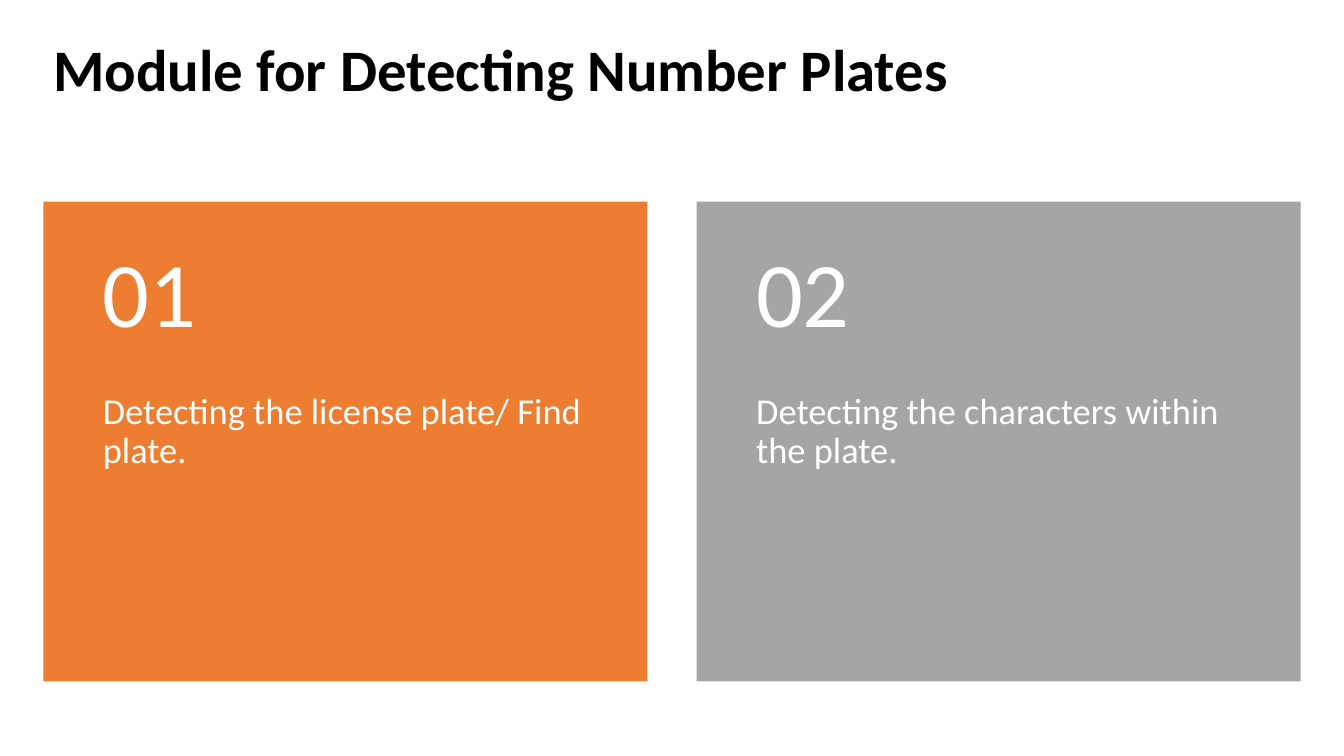
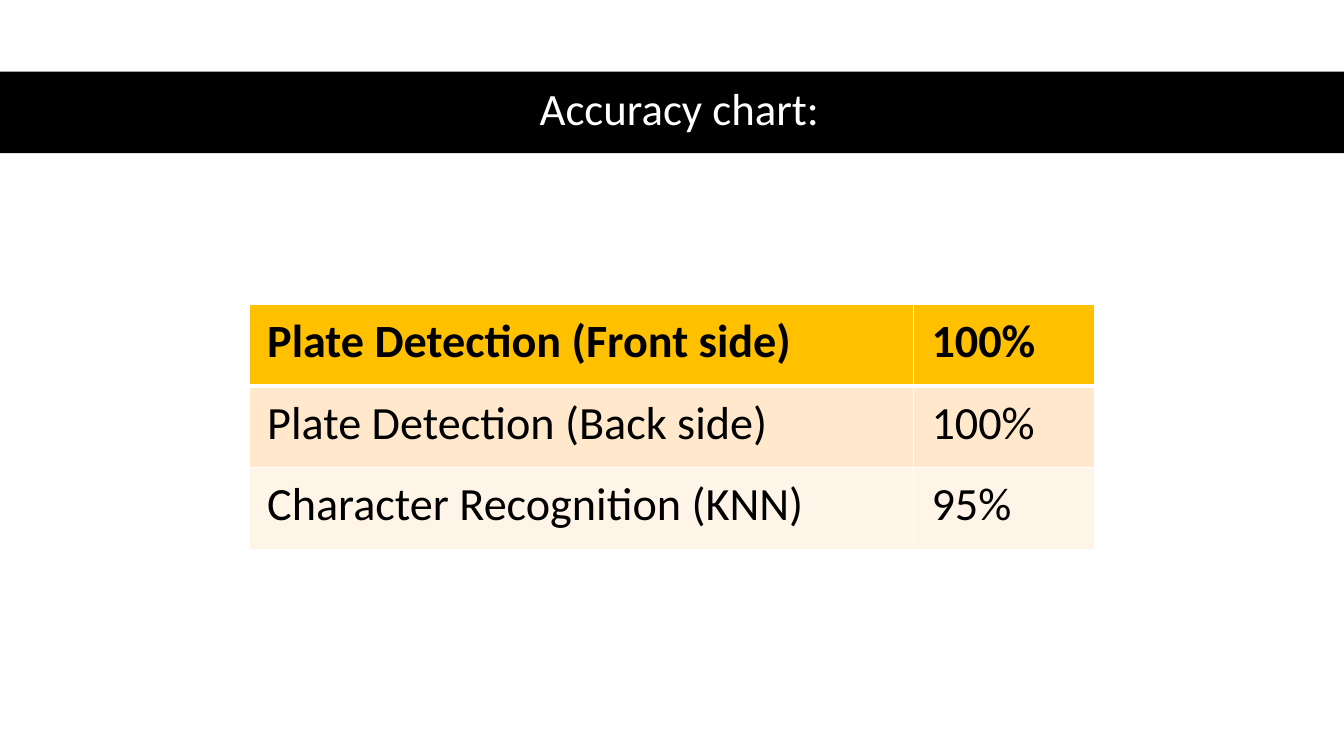
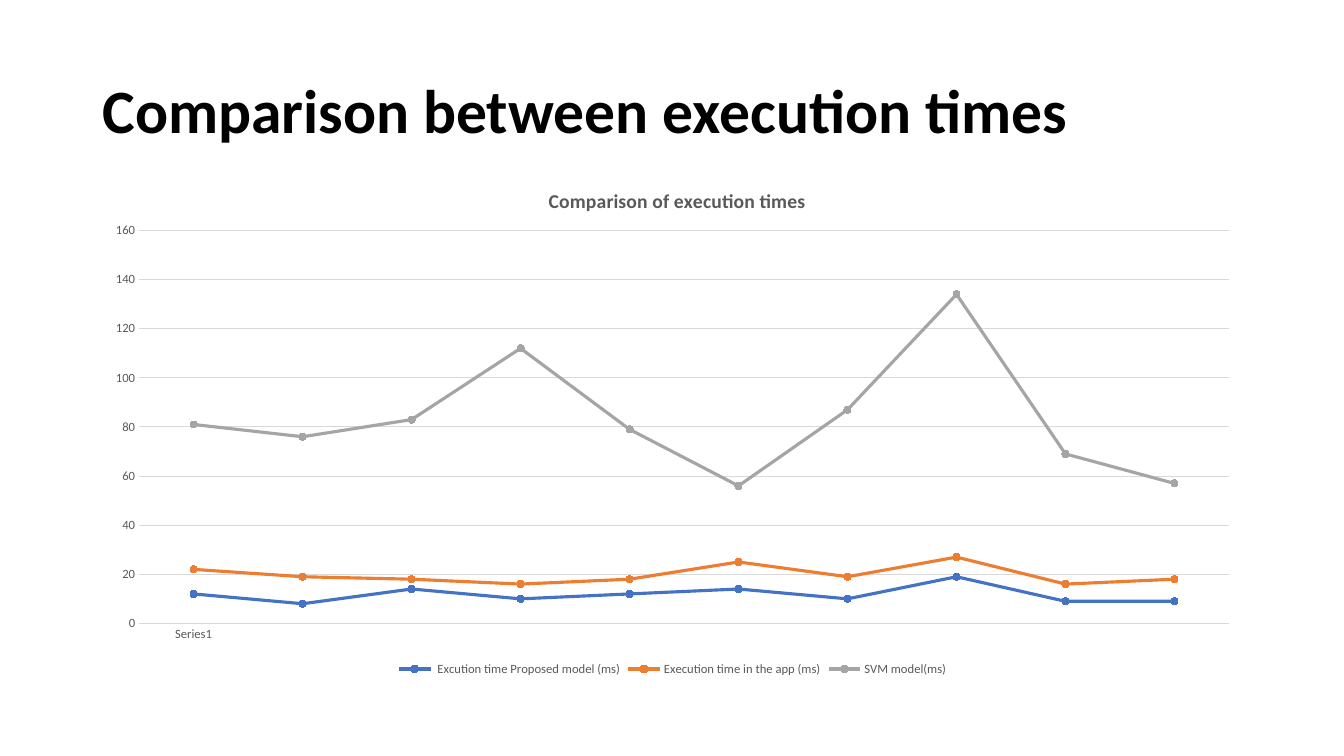
from lxml.etree import SubElement
from pptx import Presentation
from pptx.chart.data import CategoryChartData
from pptx.dml.color import RGBColor
from pptx.enum.chart import XL_CHART_TYPE, XL_LEGEND_POSITION, XL_MARKER_STYLE, XL_TICK_MARK
from pptx.enum.shapes import MSO_SHAPE
from pptx.enum.text import MSO_ANCHOR as Anchor, PP_ALIGN as Align
from pptx.oxml import parse_xml
from pptx.oxml.ns import nsdecls, qn
from pptx.util import Inches, Pt

FONT = "Calibri"
COLORS = {
    "black": "000000", "white": "FFFFFF", "blue": "4472C4", "orange": "ED7D31",
    "gray": "A5A5A5", "text_gray": "595959", "grid": "D9D9D9",
    "header": "FFC000", "odd_row": "FFE8CC", "even_row": "FFF4E7",
}


def color(name):
    return RGBColor.from_string(COLORS[name])


def style_font(font, size, name="black", bold=False):
    font.name, font.size, font.bold = FONT, Pt(size), bold
    font.color.rgb = color(name)


def write(frame, text, size, name="black", bold=False, align=Align.LEFT, spacing=0.9,
          anchor=Anchor.TOP, margins=(0.1, 0.05, 0.1, 0.05)):
    """Fill a text frame with one paragraph; margins are left, top, right, bottom."""
    frame.word_wrap = True
    frame.vertical_anchor = anchor
    (frame.margin_left, frame.margin_top,
     frame.margin_right, frame.margin_bottom) = map(Inches, margins)
    paragraph = frame.paragraphs[0]
    paragraph.alignment, paragraph.line_spacing = align, spacing
    run = paragraph.add_run()
    run.text = text
    style_font(run.font, size, name, bold)


def border_cell(cell, widths):
    """Draw white borders; widths maps the sides L, R, T, B to points."""
    properties = cell._tc.get_or_add_tcPr()
    for side, width in widths.items():
        properties.append(parse_xml(
            f'<a:ln{side} {nsdecls("a")} w="{Pt(width)}"><a:solidFill>'
            f'<a:srgbClr val="{COLORS["white"]}"/></a:solidFill></a:ln{side}>'))


def place_in_chart(element, inner=False, **fractions):
    """Give a chart part a manual layout in fractions of the chart area."""
    layout = element.find(qn("c:layout"))
    if layout is None:
        layout = parse_xml(f'<c:layout {nsdecls("c")}/>')
        element.insert(0, layout)
    manual = SubElement(layout, qn("c:manualLayout"))
    settings = {"layoutTarget": "inner"} if inner else {}
    settings.update(xMode="edge", yMode="edge", **fractions)
    for tag, value in settings.items():
        SubElement(manual, qn(f"c:{tag}")).set("val", str(value))


class Deck:
    def __init__(self):
        self.presentation = Presentation()
        self.presentation.slide_width = Inches(13.33)
        self.presentation.slide_height = Inches(7.5)
        self.slide = None

    def new_slide(self):
        self.slide = self.presentation.slides.add_slide(self.presentation.slide_layouts[6])

    def text(self, box, text, size, **style):
        shape = self.slide.shapes.add_textbox(*map(Inches, box))
        write(shape.text_frame, text, size, **style)

    def title(self, box, text, size, bold=True, anchor=Anchor.MIDDLE, **style):
        self.text(box, text, size, bold=bold, anchor=anchor, **style)

    def rectangle(self, box, fill):
        shape = self.slide.shapes.add_shape(MSO_SHAPE.RECTANGLE, *map(Inches, box))
        shape.shadow.inherit = False
        shape.fill.solid()
        shape.fill.fore_color.rgb = color(fill)
        shape.line.fill.background()

    def card(self, left, number, text, fill):
        top, width, height, head = 2, 5.99, 4.76, 1.9
        self.rectangle((left, top, width, height), fill)
        self.text((left, top + head, width, height - head), text, 26, name="white",
                  margins=(0.59, 0, 0.59, 0.36))
        self.text((left, top, width, head), f"{number:02}", 66, name="white",
                  anchor=Anchor.MIDDLE, margins=(0.59, 0.18, 0.59, 0.18))

    def table(self, left, top, column_widths, row_height, rows):
        table = self.slide.shapes.add_table(
            len(rows), len(column_widths), Inches(left), Inches(top),
            Inches(sum(column_widths)), Inches(row_height * len(rows))).table
        for column, width in zip(table.columns, column_widths):
            column.width = Inches(width)
        for row_index, values in enumerate(rows):
            table.rows[row_index].height = Inches(row_height)
            is_header = row_index == 0
            fill = "header" if is_header else "odd_row" if row_index % 2 else "even_row"
            widths = {"L": 1, "R": 1, "T": 3 if row_index == 1 else 1, "B": 3 if is_header else 1}
            for column_index, value in enumerate(values):
                cell = table.cell(row_index, column_index)
                border_cell(cell, widths)
                cell.fill.solid()
                cell.fill.fore_color.rgb = color(fill)
                write(cell.text_frame, value, 33, bold=is_header, spacing=1)
                cell.margin_left = cell.margin_right = Inches(0.18)
                cell.margin_top = cell.margin_bottom = Inches(0.09)

    def line_chart(self, box, title, categories, series):
        """Series holds tuples of name, colour and values."""
        data = CategoryChartData()
        data.categories = categories
        for name, _, values in series:
            data.add_series(name, values)
        chart = self.slide.shapes.add_chart(
            XL_CHART_TYPE.LINE_MARKERS, *map(Inches, box), data).chart
        style_font(chart.font, 10)
        chart.plots[0].vary_by_categories = False

        heading = chart.chart_title.text_frame.paragraphs[0].add_run()
        heading.text = title
        style_font(heading.font, 14, "text_gray", bold=True)
        place_in_chart(chart.element.find(".//" + qn("c:title")), x=0.39, y=0.04)
        place_in_chart(chart.element.find(".//" + qn("c:plotArea")), inner=True,
                       x=0.04, y=0.13, w=0.94, h=0.76)

        chart.has_legend = True
        chart.legend.position = XL_LEGEND_POSITION.BOTTOM
        chart.legend.include_in_layout = False
        style_font(chart.legend.font, 9, "text_gray")

        for axis in (chart.category_axis, chart.value_axis):
            axis.major_tick_mark = axis.minor_tick_mark = XL_TICK_MARK.NONE
            style_font(axis.tick_labels.font, 9, "text_gray")
        chart.value_axis.minimum_scale, chart.value_axis.maximum_scale = 0, 160
        chart.value_axis.major_unit = 20
        chart.value_axis.format.line.fill.background()
        for line in (chart.category_axis.format.line,
                     chart.value_axis.major_gridlines.format.line):
            line.color.rgb, line.width = color("grid"), Pt(0.75)

        for plotted, (_, name, _) in zip(chart.plots[0].series, series):
            plotted.smooth = False
            plotted.format.line.color.rgb = color(name)
            plotted.format.line.width = Pt(2.25)
            marker = plotted.marker
            marker.style, marker.size = XL_MARKER_STYLE.CIRCLE, 5
            marker.format.fill.solid()
            marker.format.fill.fore_color.rgb = color(name)
            marker.format.line.color.rgb = color(name)


def main():
    deck = Deck()

    deck.new_slide()
    deck.title((0.43, 0.35, 12.48, 1.45), "Module for Detecting Number Plates", 42,
               anchor=Anchor.TOP)
    cards = [("Detecting the license plate/ Find plate.", "orange"),
             ("Detecting the characters within the plate.", "gray")]
    for index, (text, fill) in enumerate(cards):
        deck.card(0.43 + index * 6.48, index + 1, text, fill)

    deck.new_slide()
    deck.rectangle((0, 0.71, 13.33, 0.81), "black")
    deck.title((0.61, 0.7, 12.26, 0.81), "Accuracy chart:", 32, name="white", bold=False,
               align=Align.CENTER)
    deck.table(2.47, 3.02, (6.59, 1.8), 0.81, [
        ("Plate Detection (Front side)", "100%"),
        ("Plate Detection (Back side)", "100%"),
        ("Character Recognition (KNN)", "95%"),
    ])

    deck.new_slide()
    deck.title((0.92, 0.4, 11.5, 1.45), "Comparison between execution times", 44)
    deck.line_chart((0.92, 1.62, 11.5, 5.13), "Comparison of execution times",
                    ["Series1"] + [""] * 9, [
        (" Excution time Proposed model (ms)", "blue", (12, 8, 14, 10, 12, 14, 10, 19, 9, 9)),
        ("Execution time in the app (ms)", "orange", (22, 19, 18, 16, 18, 25, 19, 27, 16, 18)),
        ("SVM model(ms)", "gray", (81, 76, 83, 112, 79, 56, 87, 134, 69, 57)),
    ])

    deck.presentation.save("out.pptx")


if __name__ == "__main__":
    main()
